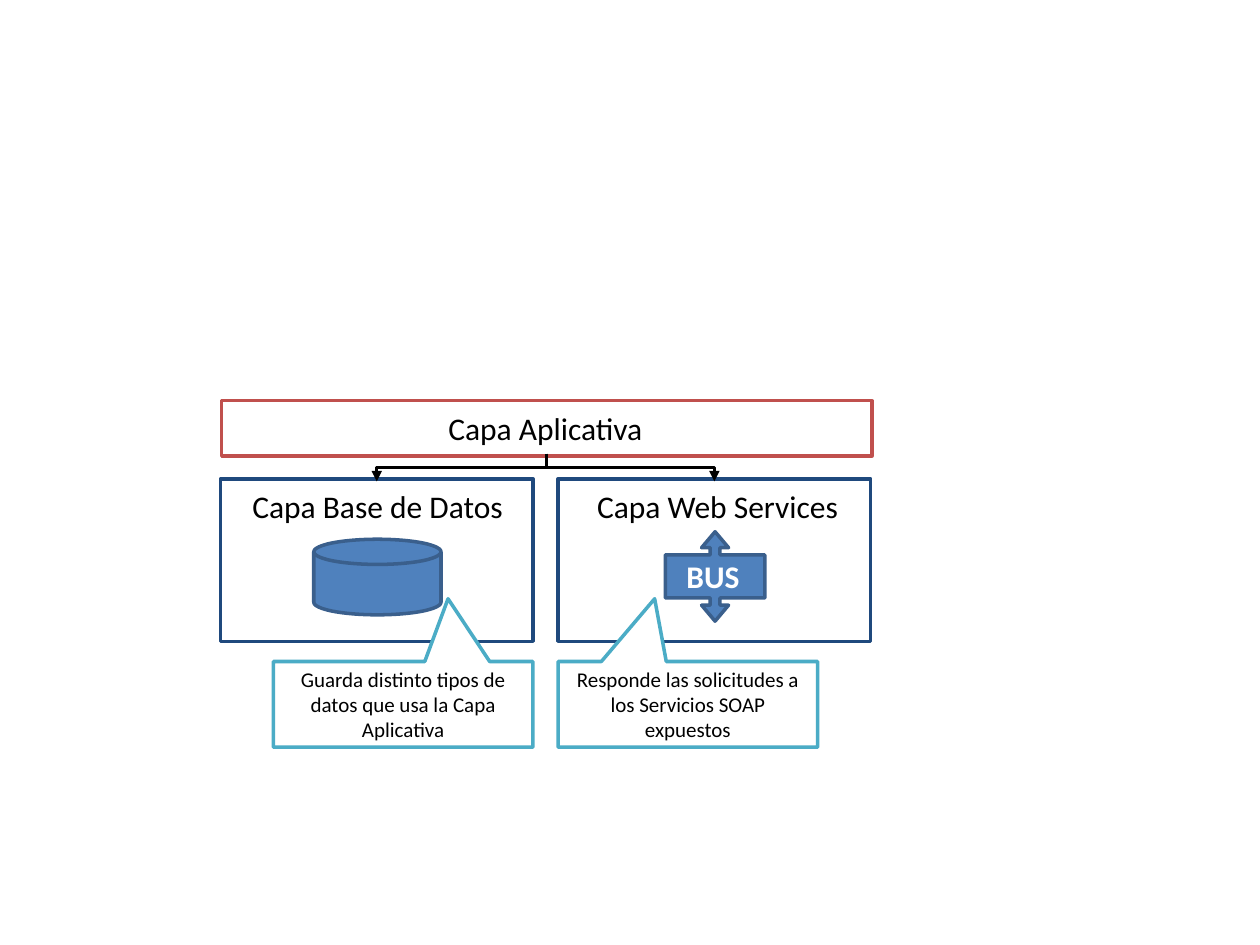
from lxml.etree import SubElement
from pptx import Presentation
from pptx.dml.color import RGBColor
from pptx.enum.shapes import MSO_CONNECTOR as Connector, MSO_SHAPE as Shape
from pptx.enum.text import MSO_ANCHOR as Anchor, MSO_AUTO_SIZE as AutoSize, PP_ALIGN as Align
from pptx.oxml.ns import qn
from pptx.util import Inches, Pt

RED, NAVY, TEAL, BLUE, DARK_BLUE = "C0504D", "1F497D", "4BACC6", "4F81BD", "3A5F8C"
BLACK, WHITE = "000000", "FFFFFF"

LEFT, RIGHT = 1.75, 4.43
LAYER_TOP, LAYER_WIDTH, LAYER_HEIGHT = 3.8, 2.48, 1.29
NOTE_TOP, NOTE_WIDTH, NOTE_HEIGHT = 5.25, 2.06, 0.68
TRUNK_X, TRUNK_TOP, ARROW_DROP = 4.34, 3.6, 0.22

APPLICATION_BOX = (1.76, 3.18, 5.16, 0.44)
LABELS = [
    ("Capa Aplicativa", (3.46, 3.2, 1.76, 0.4), Align.LEFT, False),
    ("Capa Base de Datos", (1.89, 3.82, 2.2, 0.4), Align.RIGHT, True),
    ("Capa Web Services", (4.6, 3.82, 2.15, 0.4), Align.RIGHT, True),
]
BUS_LABEL = ("BUS", (5.35, 4.37, 0.63, 0.4), Align.LEFT, False, WHITE, True)
NOTES = [
    ("Responde las solicitudes a los Servicios SOAP expuestos", RIGHT, -0.128),
    ("Guarda distinto tipos de datos que usa la Capa Aplicativa",
     LEFT + LAYER_WIDTH - NOTE_WIDTH, 0.173),
]

presentation = Presentation()
presentation.slide_width, presentation.slide_height = Inches(10), Inches(7.5)
slide = presentation.slides.add_slide(presentation.slide_layouts[6])


def color(value):
    return RGBColor.from_string(value)


def inches(values):
    return [Inches(value) for value in values]


def write(shape, text, size, align, ink=BLACK, bold=False):
    shape.text_frame.text = text
    paragraph = shape.text_frame.paragraphs[0]
    paragraph.alignment = align
    font = paragraph.runs[0].font
    font.name, font.size, font.bold = "Calibri", Pt(size), bold
    font.color.rgb = color(ink)


def add_box(kind, bounds, line, fill=None, adjustments=()):
    shape = slide.shapes.add_shape(kind, *inches(bounds))
    shape.shadow.inherit = False
    if fill:
        shape.fill.solid()
        shape.fill.fore_color.rgb = color(fill)
    else:
        shape.fill.background()
    shape.line.color.rgb = color(line)
    shape.line.width = Pt(2)
    for index, value in enumerate(adjustments):
        shape.adjustments[index] = value
    return shape


def add_label(text, bounds, align, wrap, ink=BLACK, bold=False):
    label = slide.shapes.add_textbox(*inches(bounds))
    label.text_frame.word_wrap = wrap
    label.text_frame.auto_size = AutoSize.SHAPE_TO_FIT_TEXT
    write(label, text, 18, align, ink, bold)


def add_branch(target_x):
    span = abs(target_x - TRUNK_X)
    left = (TRUNK_X + target_x - ARROW_DROP) / 2
    top = TRUNK_TOP + (ARROW_DROP - span) / 2
    branch = slide.shapes.add_connector(
        Connector.ELBOW, *inches((left, top, left + ARROW_DROP, top + span)))
    branch.line.color.rgb = color(BLACK)
    branch.line.width = Pt(1.5)
    properties = branch._element.spPr
    transform = properties.find(qn("a:xfrm"))
    goes_right = target_x > TRUNK_X
    transform.set("rot", str((270 if goes_right else 90) * 60000))
    if goes_right:
        transform.set("flipH", "1")
    SubElement(properties.find(qn("a:ln")), qn("a:tailEnd"), type="triangle")
    SubElement(properties, qn("a:effectLst"))


add_box(Shape.RECTANGLE, APPLICATION_BOX, RED)
for layer_left in (RIGHT, LEFT):
    add_box(Shape.RECTANGLE, (layer_left, LAYER_TOP, LAYER_WIDTH, LAYER_HEIGHT), NAVY)
for label in LABELS:
    add_label(*label)
for layer_left in (LEFT, RIGHT):
    add_branch(layer_left + LAYER_WIDTH / 2)

add_box(Shape.FLOWCHART_MAGNETIC_DISK, (2.49, 4.28, 1.01, 0.6), DARK_BLUE, BLUE)
bus = add_box(Shape.LEFT_RIGHT_ARROW_CALLOUT, (5.32, 4.18, 0.71, 0.79),
              DARK_BLUE, BLUE, (0.109, 0.151, 0.179, 0.481))
bus.rotation = 90
add_label(*BUS_LABEL)

for text, note_left, pointer_x in NOTES:
    note = add_box(Shape.RECTANGULAR_CALLOUT, (note_left, NOTE_TOP, NOTE_WIDTH, NOTE_HEIGHT),
                   TEAL, WHITE, (pointer_x, -1.233))
    note.text_frame.word_wrap = True
    note.text_frame.vertical_anchor = Anchor.MIDDLE
    write(note, text, 12, Align.CENTER)

presentation.save("out.pptx")
